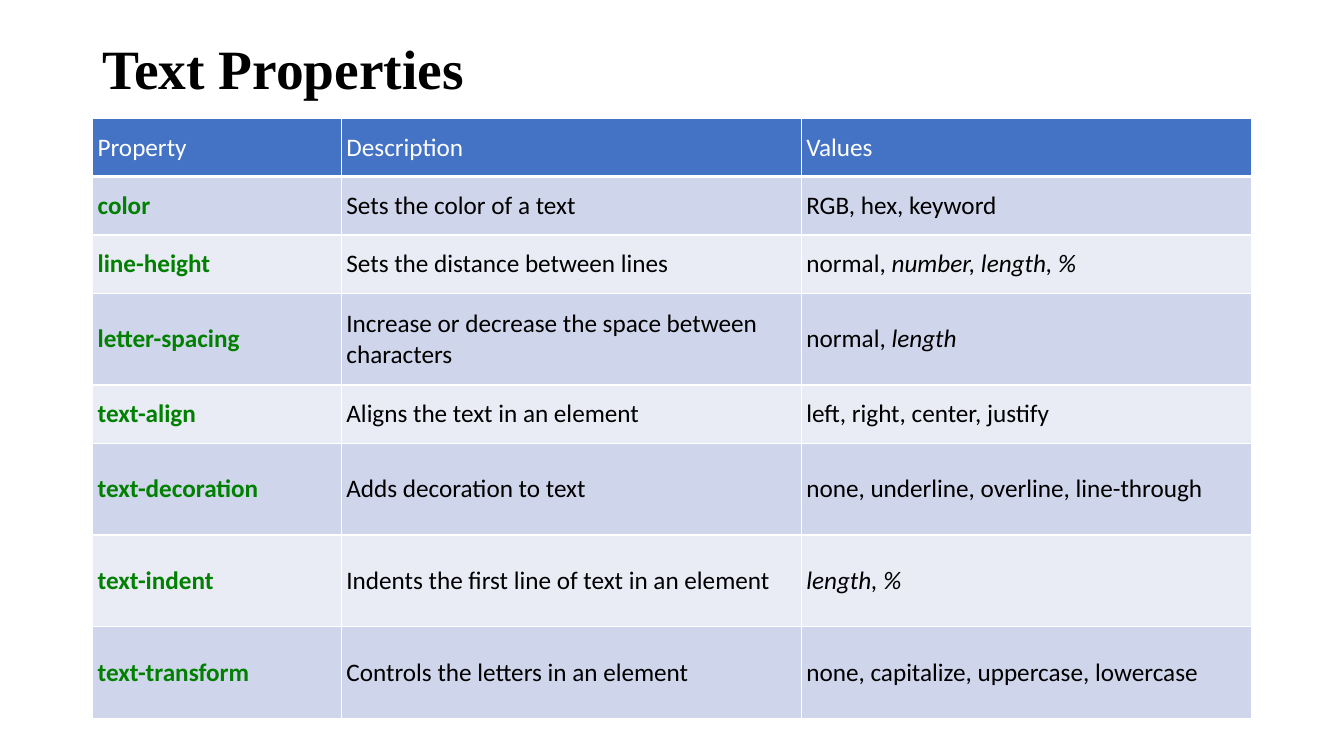
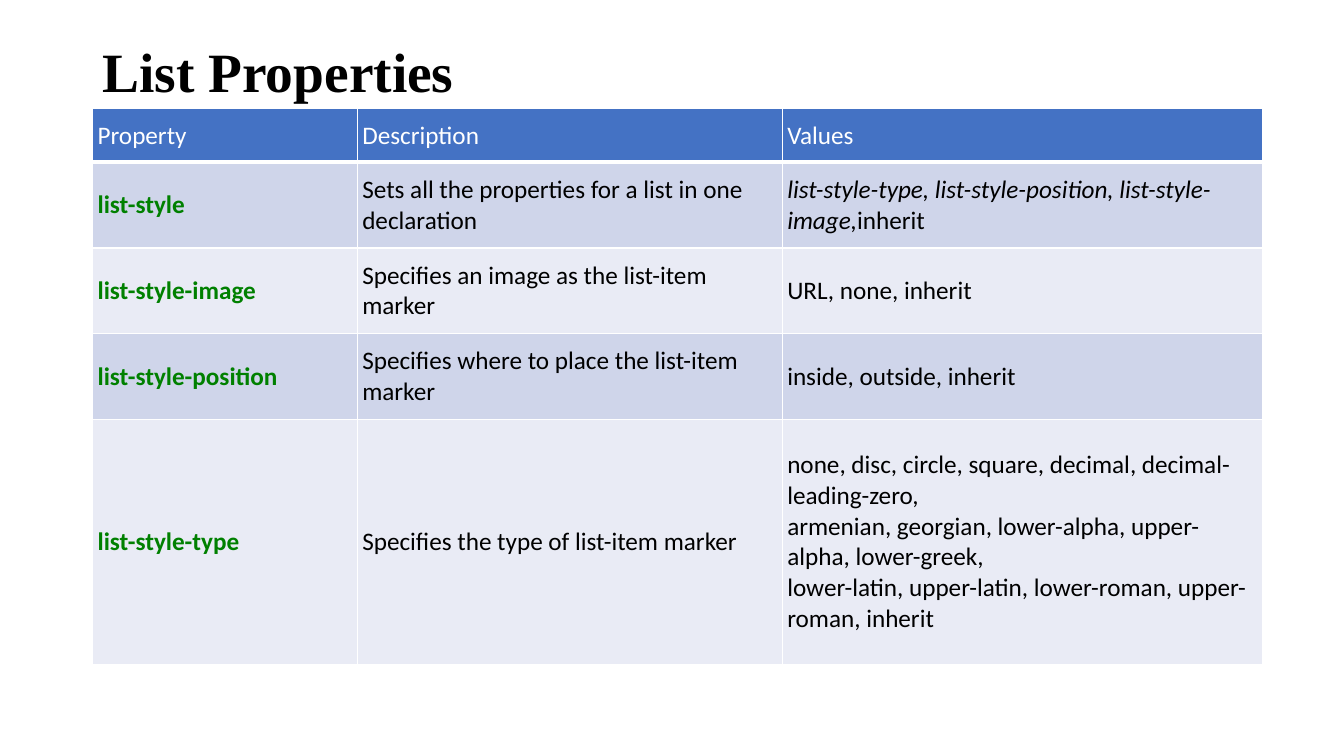
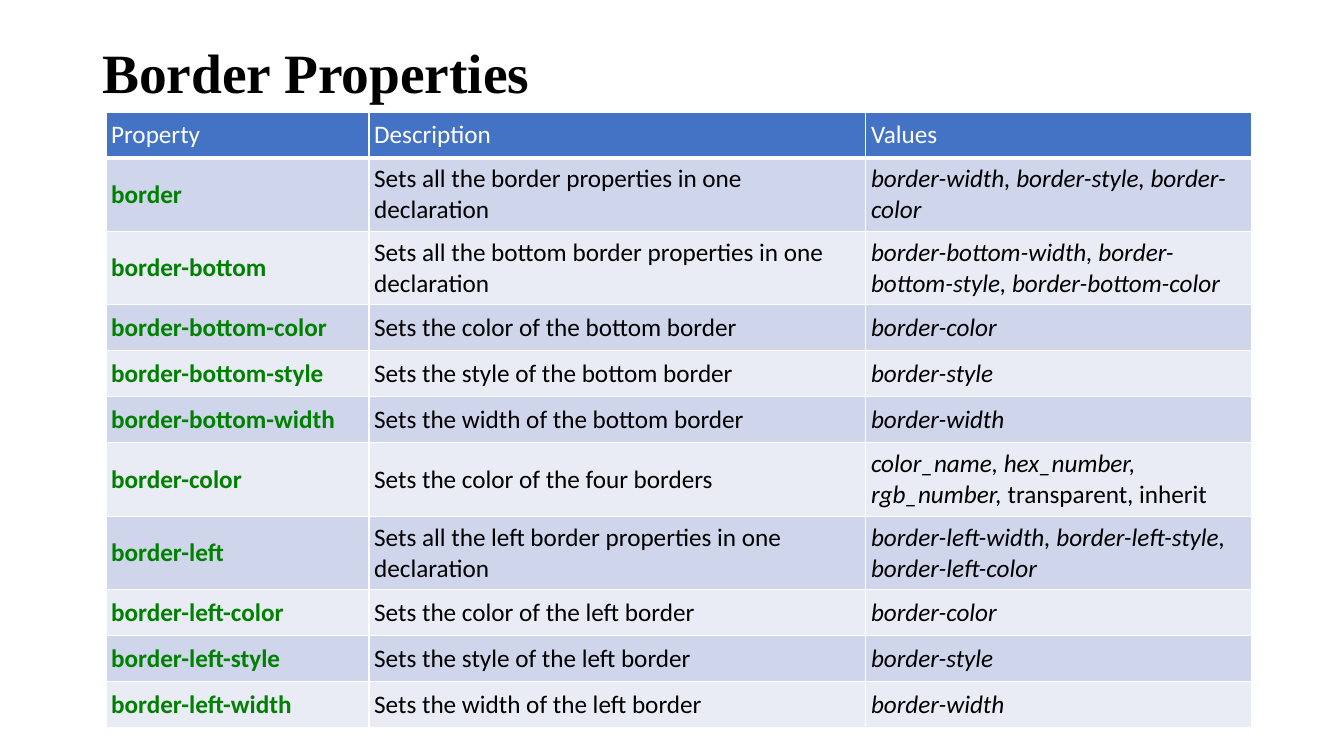
from dataclasses import dataclass

from lxml import etree
from pptx import Presentation
from pptx.dml.color import RGBColor
from pptx.enum.text import MSO_ANCHOR
from pptx.oxml.ns import qn
from pptx.util import Cm, Pt

MIDDLE = MSO_ANCHOR.MIDDLE
TITLE_FONT = "Times New Roman"
BODY_FONT = "Calibri"
BLACK = "000000"
WHITE = "FFFFFF"
HEADER_BLUE = "4472C4"
BANDS = ("CFD5EA", "E9EBF5")
PROPERTY_GREEN = "008000"
NBSP = "\u00a0"
HEADINGS = ("Property", "Description", "Values")
TITLE_LEFT, TITLE_TOP, TITLE_WIDTH = 2.33, 1.01, 29.21


@dataclass(frozen=True)
class Values:
    plain: str = ""
    italic: str = ""
    tail: str = ""


@dataclass(frozen=True)
class Property:
    name: str
    description: str
    values: Values
    height: float


@dataclass(frozen=True)
class PropertySlide:
    title: str
    title_height: float
    left: float
    top: float
    widths: tuple[float, float, float]
    header_height: float
    properties: list[Property]


def rgb(code: str) -> RGBColor:
    return RGBColor.from_string(code)


def style_runs(paragraph, font: str, size: float, color: str, bold: bool) -> None:
    for run in paragraph.runs:
        run.font.name = font
        run.font.size = Pt(size)
        run.font.color.rgb = rgb(color)
        run.font.bold = bold


def add_title(slide, text: str, height: float) -> None:
    title = slide.shapes.add_textbox(
        Cm(TITLE_LEFT), Cm(TITLE_TOP), Cm(TITLE_WIDTH), Cm(height)
    )
    frame = title.text_frame
    frame.word_wrap = True
    frame.vertical_anchor = MIDDLE
    frame.text = text
    heading = frame.paragraphs[0]
    heading.line_spacing = 0.9
    style_runs(heading, TITLE_FONT, 39.6, BLACK, True)


def add_borders(cell, bottom_width: float) -> None:
    properties = cell._tc.get_or_add_tcPr()
    edges = (("a:lnL", 1), ("a:lnR", 1), ("a:lnT", 1), ("a:lnB", bottom_width))
    for position, (tag, width) in enumerate(edges):
        line = etree.Element(qn(tag), w=str(Pt(width)))
        fill = etree.SubElement(line, qn("a:solidFill"))
        etree.SubElement(fill, qn("a:srgbClr"), val=WHITE)
        properties.insert(position, line)


def fill_cell(
    cell,
    values: Values,
    background: str,
    color: str = BLACK,
    bold: bool = False,
    bottom_width: float = 1,
) -> None:
    cell.margin_left = cell.margin_right = Cm(0.13)
    cell.margin_top = cell.margin_bottom = Cm(0.06)
    cell.vertical_anchor = MIDDLE
    cell.fill.solid()
    cell.fill.fore_color.rgb = rgb(background)
    add_borders(cell, bottom_width)
    paragraph = cell.text_frame.paragraphs[0]
    paragraph.text = values.plain
    for text, italic in ((values.italic, True), (values.tail, False)):
        if text:
            run = paragraph.add_run()
            run.text = text
            run.font.italic = italic
    style_runs(paragraph, BODY_FONT, 18, color, bold)


def add_property_table(slide, content: PropertySlide) -> None:
    heights = [content.header_height, *(entry.height for entry in content.properties)]
    table = slide.shapes.add_table(
        len(heights),
        len(HEADINGS),
        Cm(content.left),
        Cm(content.top),
        Cm(sum(content.widths)),
        Cm(sum(heights)),
    ).table
    for column, width in zip(table.columns, content.widths):
        column.width = Cm(width)
    for row, height in zip(table.rows, heights):
        row.height = Cm(height)
    for column, heading in enumerate(HEADINGS):
        fill_cell(
            table.cell(0, column), Values(heading), HEADER_BLUE, WHITE, bottom_width=3
        )
    for index, entry in enumerate(content.properties):
        band = BANDS[index % 2]
        name, description, values = table.rows[index + 1].cells
        fill_cell(name, Values(entry.name), band, PROPERTY_GREEN, True)
        fill_cell(description, Values(entry.description), band)
        fill_cell(values, entry.values, band)


def side_properties(side: str, low: float, high: float) -> list[Property]:
    name = f"border-{side}"
    aspects = ("color", "style", "width")
    shorthand = ", ".join(f"{name}-{aspect}" for aspect in ("width", "style", "color"))
    summary = f"Sets all the {side} border properties in one declaration"
    return [
        Property(name, summary, Values(italic=shorthand), high),
        *(
            Property(
                f"{name}-{aspect}",
                f"Sets the {aspect} of the {side} border",
                Values(italic=f"border-{aspect}"),
                low,
            )
            for aspect in aspects
        ),
    ]


TEXT_LOW, TEXT_HIGH = 1.47, 2.31
LIST_HIGH = 2.16
BORDER_LOW, BORDER_HIGH = 1.16, 1.85

LIST_TYPES = f"{NBSP}\v".join(
    (
        "none, disc, circle, square, decimal, decimal-leading-zero,",
        "armenian, georgian, lower-alpha, upper-alpha, lower-greek,",
        "lower-latin, upper-latin, lower-roman, upper-roman, inherit",
    )
)

SLIDES = [
    PropertySlide(
        "Text Properties", 1.6, 2.33, 2.98, (6.27, 11.59, 11.34), TEXT_LOW,
        [
            Property("color", "Sets the color of a text",
                     Values("RGB, hex, keyword"), TEXT_LOW),
            Property("line-height", "Sets the distance between lines",
                     Values(f"normal,{NBSP}", "number, length, %"), TEXT_LOW),
            Property("letter-spacing",
                     "Increase or decrease the space between characters",
                     Values(f"normal,{NBSP}", "length"), TEXT_HIGH),
            Property("text-align", "Aligns the text in an element",
                     Values("left, right, center, justify"), TEXT_LOW),
            Property("text-decoration", "Adds decoration to text",
                     Values("none, underline, overline, line-through"), TEXT_HIGH),
            Property("text-indent", "Indents the first line of text in an element",
                     Values(italic="length, %"), TEXT_HIGH),
            Property("text-transform", "Controls the letters in an element",
                     Values("none, capitalize, uppercase, lowercase"), TEXT_HIGH),
        ],
    ),
    PropertySlide(
        "List Properties", 1.73, 2.33, 2.74, (6.67, 10.71, 12.11), 1.35,
        [
            Property("list-style",
                     "Sets all the properties for a list in one declaration",
                     Values(italic="list-style-type, list-style-position, "
                                   "list-style-image,", tail="inherit"), LIST_HIGH),
            Property("list-style-image", "Specifies an image as the list-item marker",
                     Values("URL, none, inherit"), LIST_HIGH),
            Property("list-style-position",
                     "Specifies where to place the list-item marker",
                     Values("inside, outside, inherit"), LIST_HIGH),
            Property("list-style-type", "Specifies the type of list-item marker",
                     Values(LIST_TYPES), 6.17),
        ],
    ),
    PropertySlide(
        "Border Properties", 1.8, 2.67, 2.82, (6.63, 12.52, 9.73), BORDER_LOW,
        [
            Property("border", "Sets all the border properties in one declaration",
                     Values(italic="border-width, border-style, border-color"),
                     BORDER_HIGH),
            *side_properties("bottom", BORDER_LOW, BORDER_HIGH),
            Property("border-color", "Sets the color of the four borders",
                     Values(italic=f"color_name, hex_number, rgb_number,{NBSP}",
                            tail="transparent, inherit"), BORDER_HIGH),
            *side_properties("left", BORDER_LOW, BORDER_HIGH),
        ],
    ),
]


def main() -> None:
    deck = Presentation()
    deck.slide_width = Cm(33.87)
    deck.slide_height = Cm(19.05)
    blank = deck.slide_layouts[6]
    for content in SLIDES:
        slide = deck.slides.add_slide(blank)
        add_title(slide, content.title, content.title_height)
        add_property_table(slide, content)
    deck.save("out.pptx")


main()
